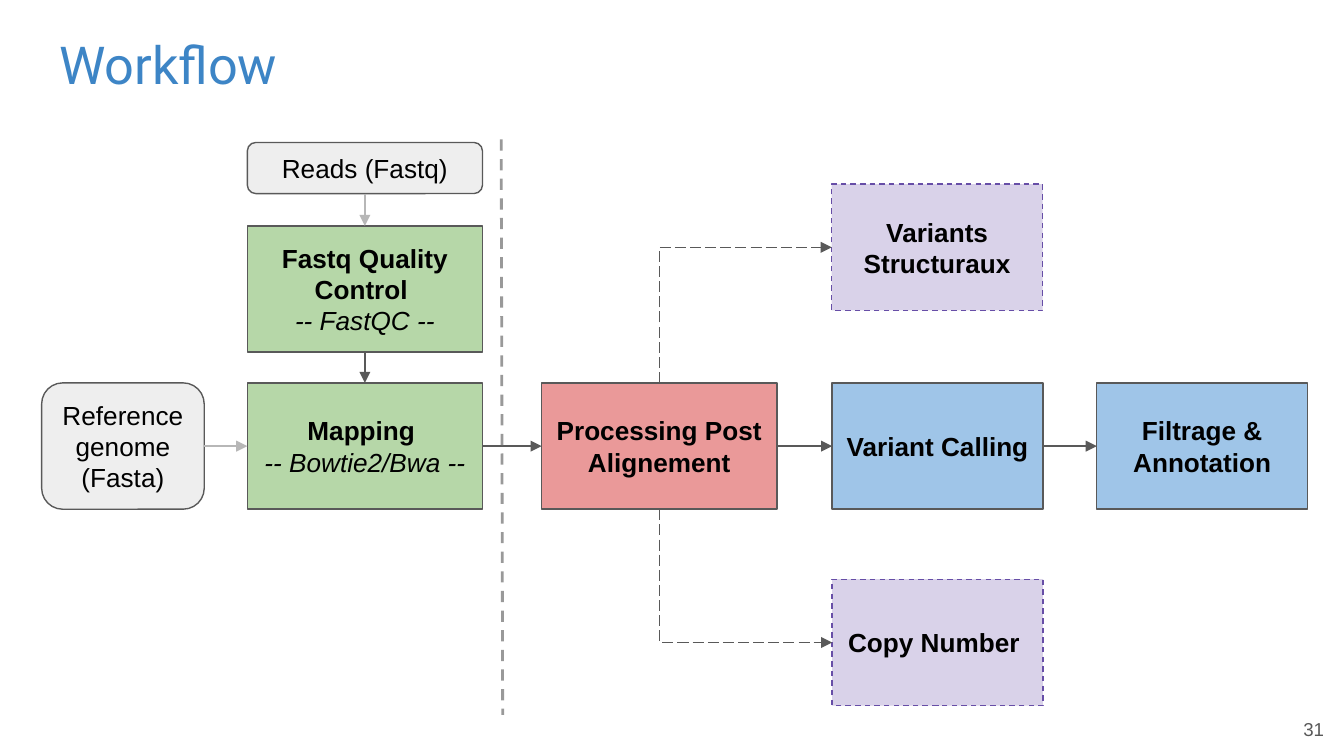
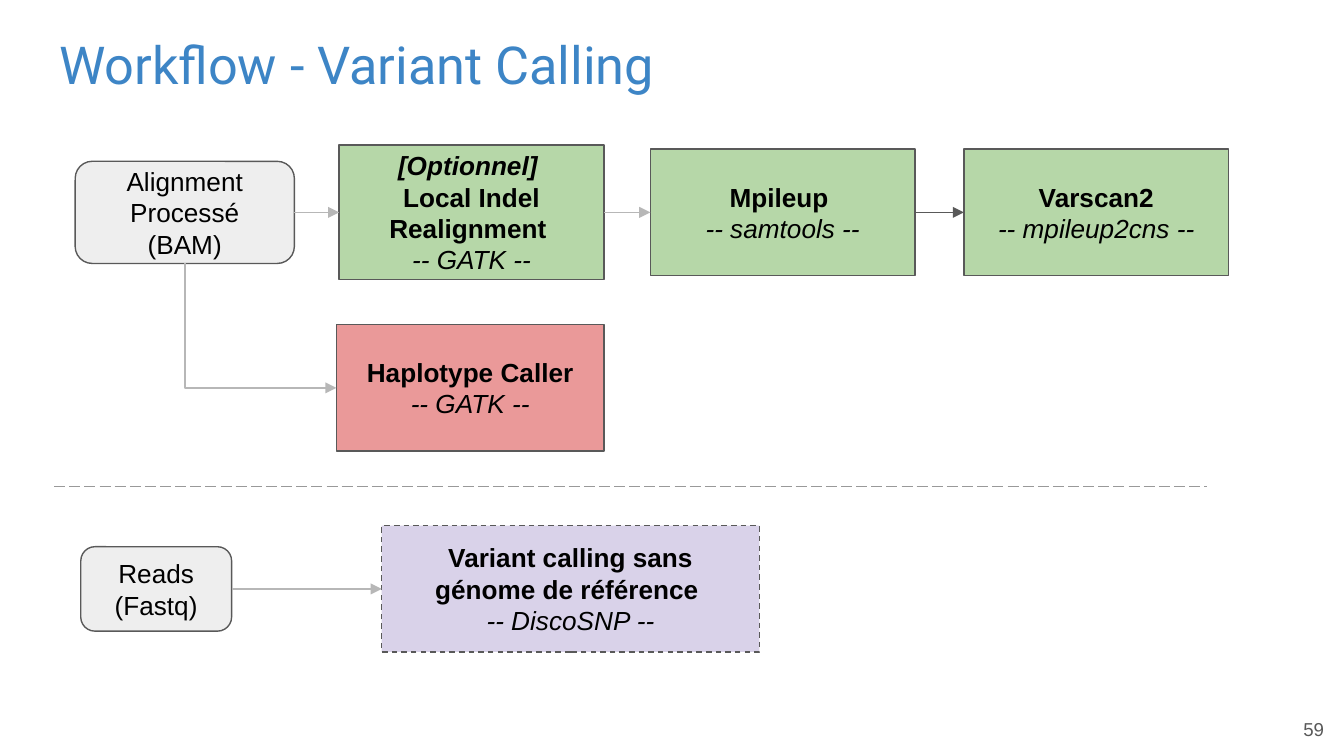
from dataclasses import dataclass

from lxml.etree import SubElement
from pptx import Presentation
from pptx.dml.color import RGBColor
from pptx.enum.dml import MSO_LINE as Dash
from pptx.enum.shapes import MSO_CONNECTOR as Link, MSO_SHAPE as Preset
from pptx.enum.text import MSO_ANCHOR as Anchor, MSO_AUTO_SIZE as Fit, PP_ALIGN as Align
from pptx.oxml.ns import qn
from pptx.util import Pt


@dataclass(frozen=True)
class Theme:
    title_font: str = "Roboto"
    body_font: str = "Arial"
    title_size: float = 28
    body_size: float = 14
    number_size: float = 10
    inset: float = 7.2
    thin: float = 0.75
    thick: float = 1.5
    title: str = "3D85C6"
    text: str = "000000"
    dark: str = "595959"
    light: str = "B7B7B7"
    divider: str = "999999"
    violet: str = "674EA7"


THEME = Theme()

KINDS = {
    "input": (Preset.ROUNDED_RECTANGLE, "EEEEEE", THEME.dark, None),
    "green": (Preset.RECTANGLE, "B6D7A8", THEME.dark, None),
    "red": (Preset.RECTANGLE, "EA9999", THEME.dark, None),
    "blue": (Preset.RECTANGLE, "9FC5E8", THEME.dark, None),
    "branch": (Preset.RECTANGLE, "D9D2E9", THEME.violet, Dash.DASH),
    "alternative": (Preset.RECTANGLE, "D9D2E9", THEME.dark, Dash.DASH),
}

TOP, LEFT, BOTTOM, RIGHT = range(4)
DOWN, ACROSS = (BOTTOM, TOP), (RIGHT, LEFT)
BEND_DOWN, BEND_UP = (BOTTOM, LEFT), (TOP, LEFT)
STEP = 67.7
MAIN_ROW = 239
CALLING_ROW, READS_ROW = 113.8, 315.5

# Boxes: name, kind, left, middle, width, height, lines of (text, style).
SLIDES = [
    {
        "title": "Workflow",
        "number": "31",
        "boxes": [
            ("quality", "green", 132.5, 154.9, 126, STEP,
             [("Fastq Quality Control ", "b"), ("-- FastQC --", "i")]),
            ("mapping", "green", 132.5, MAIN_ROW, 126, STEP,
             [("Mapping ", "b"), ("-- Bowtie2/Bwa --", "i")]),
            ("reads", "input", 132.5, 90, 126, 27.4, [("Reads (Fastq)", "")]),
            ("reference", "input", 22.3, MAIN_ROW, 87.1, STEP,
             [("Reference genome (Fasta)", "")]),
            ("processing", "red", 290.2, MAIN_ROW, 126, STEP,
             [("Processing Post Alignement", "b")]),
            ("calling", "blue", 445.8, MAIN_ROW, 113, STEP, [("Variant Calling", "b")]),
            ("filtering", "blue", 587.6, MAIN_ROW, 113, STEP,
             [("Filtrage & Annotation", "b")]),
            ("structural", "branch", 445.6, 132.5, 113, STEP,
             [("Variants Structuraux", "b")]),
            ("copies", "branch", 445.8, 344.2, 113, STEP, [("Copy Number ", "b")]),
        ],
        "arrows": [
            ("processing", "copies", BEND_DOWN, THEME.dark, Dash.LONG_DASH),
            ("processing", "structural", BEND_UP, THEME.dark, Dash.LONG_DASH),
            ("processing", "calling", ACROSS, THEME.dark, None),
            ("calling", "filtering", ACROSS, THEME.dark, None),
            ("mapping", "processing", ACROSS, THEME.dark, None),
            ("quality", "mapping", DOWN, THEME.dark, None),
            ("reads", "quality", DOWN, THEME.light, None),
            ("reference", "mapping", ACROSS, THEME.light, None),
        ],
        "divider": ((268.5, 74.7, 269.3, 383), THEME.thick, Dash.DASH),
    },
    {
        "title": "Workflow - Variant Calling",
        "number": "59",
        "boxes": [
            ("alignment", "input", 40.3, CALLING_ROW, 117.4, 54.7,
             [("Alignment Processé (BAM)", "")]),
            ("mpileup", "green", 348.4, CALLING_ROW, 141.9, STEP,
             [("Mpileup ", "b"), ("-- samtools --", "i")]),
            ("varscan", "green", 516.4, CALLING_ROW, 141.9, STEP,
             [("Varscan2", "b"), ("-- mpileup2cns --", "i")]),
            ("haplotype", "red", 180.2, 207.8, 143.5, STEP,
             [("Haplotype Caller", "b"), ("-- GATK --", "i")]),
            ("discosnp", "alternative", 204.5, READS_ROW, 202.3, STEP,
             [("Variant calling sans génome de référence ", "b"), ("-- DiscoSNP --", "i")]),
            ("reads", "input", 43.3, READS_ROW, 80.8, 45.2, [("Reads (Fastq)", "")]),
            ("realignment", "green", 181.7, CALLING_ROW, 141.9, 72.2,
             [("[Optionnel] ", "bi"), ("Local Indel Realignment ", "b"), ("-- GATK --", "i")]),
        ],
        "arrows": [
            ("mpileup", "varscan", ACROSS, THEME.dark, None),
            ("realignment", "mpileup", ACROSS, THEME.light, None),
            ("alignment", "haplotype", BEND_DOWN, THEME.light, None),
            ("reads", "discosnp", ACROSS, THEME.light, None),
            ("alignment", "realignment", ACROSS, THEME.light, None),
        ],
        "divider": ((29, 260.7, 646.6, 260.7), THEME.thin, Dash.LONG_DASH),
    },
]


def write(box, lines, font, size, color, align, anchor):
    frame = box.text_frame
    frame.text = "\n".join(text for text, style in lines)
    frame.word_wrap = True
    frame.auto_size = Fit.NONE
    frame.vertical_anchor = anchor
    frame.margin_left = frame.margin_right = Pt(THEME.inset)
    frame.margin_top = frame.margin_bottom = Pt(THEME.inset)
    for para, (text, style) in zip(frame.paragraphs, lines):
        para.alignment = align
        for span in para.runs:
            span.font.name = font
            span.font.size = Pt(size)
            span.font.bold = "b" in style
            span.font.italic = "i" in style
            span.font.color.rgb = RGBColor.from_string(color)


def draw_outline(line, color, width, dash):
    line.color.rgb = RGBColor.from_string(color)
    line.width = Pt(width)
    if dash:
        line.dash_style = dash


def add_box(page, kind, left, middle, width, height, lines):
    preset, fill, outline, dash = KINDS[kind]
    box = page.shapes.add_shape(
        preset, Pt(left), Pt(middle - height / 2), Pt(width), Pt(height))
    box.shadow.inherit = False
    box.fill.solid()
    box.fill.fore_color.rgb = RGBColor.from_string(fill)
    draw_outline(box.line, outline, THEME.thin, dash)
    write(box, lines, THEME.body_font, THEME.body_size, THEME.text,
          Align.CENTER, Anchor.MIDDLE)
    return box


def add_line(page, ends, color, width, dash, kind=Link.STRAIGHT):
    line = page.shapes.add_connector(kind, *(Pt(end) for end in ends))
    draw_outline(line.line, color, width, dash)
    SubElement(line._element.spPr, qn("a:effectLst"))
    return line


def bend(line):
    start_x, start_y, end_x, end_y = line.begin_x, line.begin_y, line.end_x, line.end_y
    run, rise = abs(end_x - start_x), abs(end_y - start_y)
    properties = line._element.spPr
    properties.find(qn("a:prstGeom")).set("prst", "bentConnector2")
    turn = properties.find(qn("a:xfrm"))
    turn.attrib.clear()
    turn.set("rot", "16200000")
    if end_y > start_y:
        turn.set("flipH", "1")
    line.left, line.top = (start_x + end_x - rise) // 2, (start_y + end_y - run) // 2
    line.width, line.height = rise, run


def add_arrow(page, source, target, sides, color, dash):
    bent = sides in (BEND_DOWN, BEND_UP)
    kind = Link.ELBOW if bent else Link.STRAIGHT
    line = add_line(page, (0, 0, 0, 0), color, THEME.thin, dash, kind)
    line.begin_connect(source, sides[0])
    line.end_connect(target, sides[1])
    if bent:
        bend(line)
    SubElement(line.line._get_or_add_ln(), qn("a:tailEnd"), type="triangle")


def add_page(deck, content):
    page = deck.slides.add_slide(deck.slide_layouts[5])
    title = page.shapes.title
    title.left, title.top, title.width, title.height = Pt(24.5), Pt(10), Pt(671), Pt(45.4)
    write(title, [(content["title"], "")], THEME.title_font, THEME.title_size,
          THEME.title, Align.LEFT, Anchor.TOP)
    boxes = {name: add_box(page, *details) for name, *details in content["boxes"]}
    for source, target, sides, color, dash in content["arrows"]:
        add_arrow(page, boxes[source], boxes[target], sides, color, dash)
    ends, width, dash = content["divider"]
    add_line(page, ends, THEME.divider, width, dash)
    number = page.shapes.add_textbox(Pt(673.2), Pt(373), Pt(43.2), Pt(31))
    write(number, [(content["number"], "")], THEME.body_font, THEME.number_size,
          THEME.dark, Align.RIGHT, Anchor.BOTTOM)


def main():
    deck = Presentation()
    deck.slide_width, deck.slide_height = Pt(720), Pt(405)
    for content in SLIDES:
        add_page(deck, content)
    deck.save("out.pptx")


if __name__ == "__main__":
    main()
